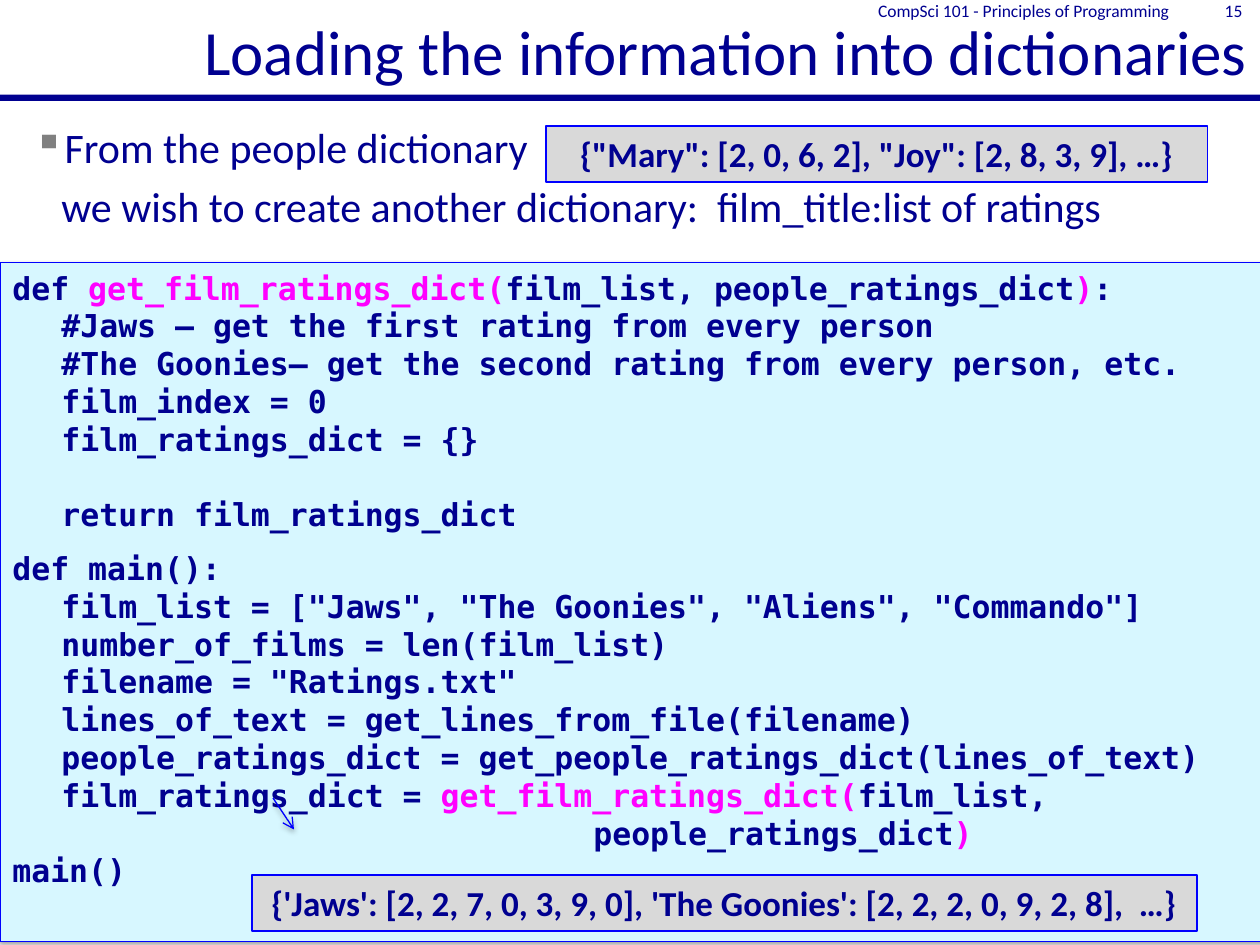
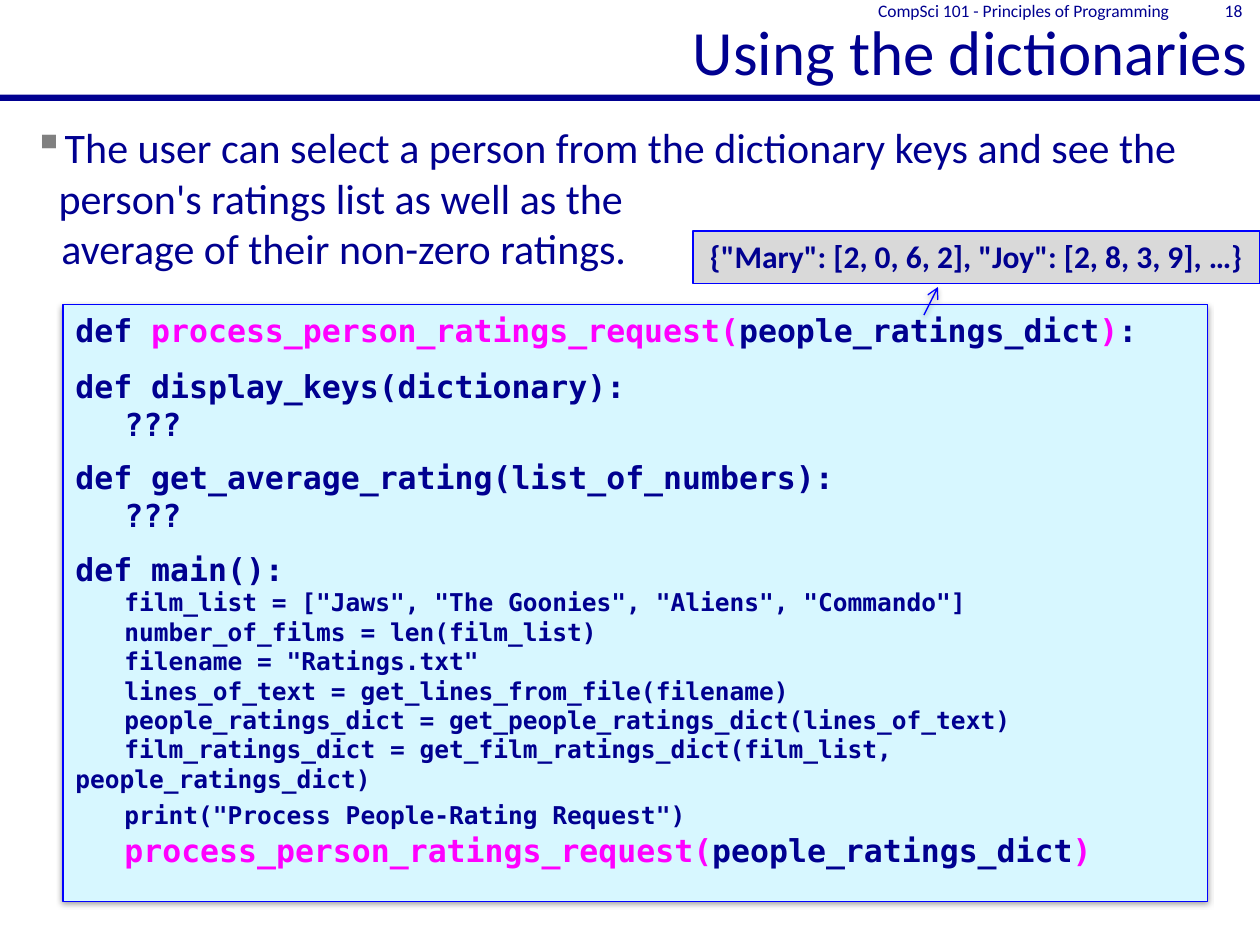
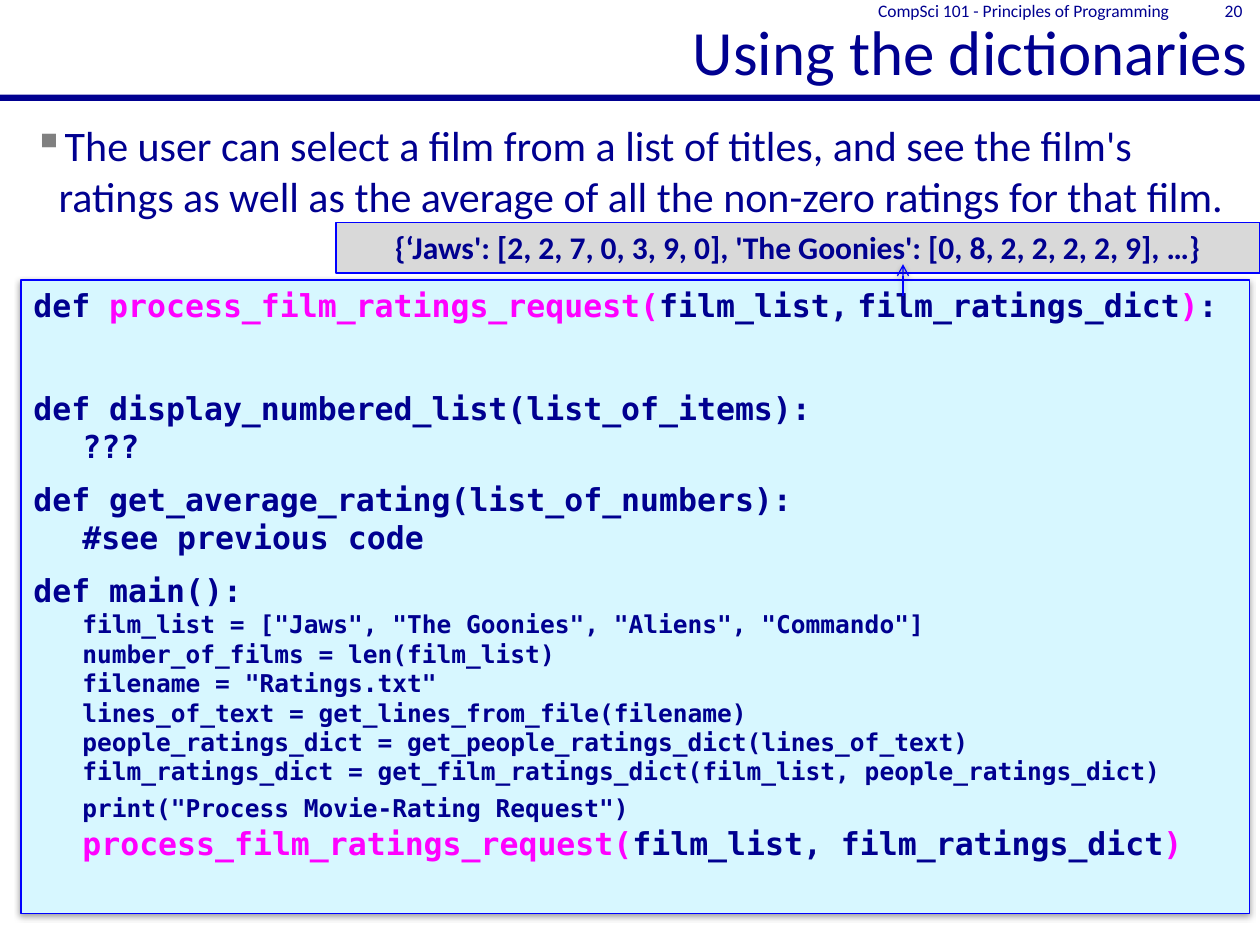
"""Build three lecture slides on dictionaries of film ratings."""
import dataclasses

import lxml.etree
import pptx
import pptx.dml.color
import pptx.enum.shapes
import pptx.enum.text
import pptx.oxml.ns
import pptx.util

Pt = pptx.util.Pt
Align = pptx.enum.text.PP_ALIGN
Anchor = pptx.enum.text.MSO_ANCHOR
qn = pptx.oxml.ns.qn

NAVY, BLUE, MAGENTA = "000090", "0000FF", "FF00FF"
CODE_FILL, EXAMPLE_FILL, BULLET = "D7F7FF", "D9D9D9", "808080"
TEXT_FONT, CODE_FONT = "Calibri", "DejaVu Sans Mono"
COURSE = "CompSci 101 - Principles of Programming"
CODE_INDENT = 28


def color(value):
    return pptx.dml.color.RGBColor.from_string(value)


@dataclasses.dataclass
class Run:
    text: str
    color: str = NAVY
    size: float = 18


@dataclasses.dataclass
class Line:
    runs: list
    indent: float = 0
    wrap_indent: float = 0
    before: float = 0
    after: float = 0


def plain(text, size=18, **spacing):
    return Line([Run(text, size=size)], **spacing)


def inner(text, size=18, **spacing):
    return plain(text, size, indent=CODE_INDENT, **spacing)


def call(name, *arguments, start="", end="", **spacing):
    runs = [Run(start)] if start else []
    runs += [Run(name + "(", MAGENTA), *arguments, Run(")", MAGENTA)]
    if end:
        runs.append(Run(end))
    return Line(runs, **spacing)


def main_setup(size):
    return [plain("def main():", before=9)] + [inner(text, size) for text in (
        'film_list = ["Jaws", "The Goonies", "Aliens", "Commando"]',
        "number_of_films = len(film_list)",
        'filename = "Ratings.txt"',
        "lines_of_text = get_lines_from_file(filename)",
        "people_ratings_dict = get_people_ratings_dict(lines_of_text)",
    )]


def main_request(kind, request):
    return main_setup(14) + [
        inner("film_ratings_dict = get_film_ratings_dict(film_list, people_ratings_dict)", 14),
        inner(f'print("Process {kind}-Rating Request")', 14, before=4, after=1),
        request,
    ]


class Deck:
    def __init__(self):
        self.presentation = pptx.Presentation()
        self.presentation.slide_width = Pt(720)
        self.presentation.slide_height = Pt(540)
        self.layout = self.presentation.slide_layouts[5]
        self.slide = None

    def start_slide(self, title, number):
        self.slide = self.presentation.slides.add_slide(self.layout)
        if len(self.presentation.slides) == 1:
            band = self.rectangle(0, 54, 720, 3.6, NAVY)
            self.layout.shapes._spTree.append(band._element)
        shape = self.slide.shapes.title
        shape.left, shape.top, shape.width, shape.height = 0, 0, Pt(720), Pt(54)
        frame = self.frame(shape, Anchor.BOTTOM)
        self.add_runs(frame.paragraphs[0], [Run(title, size=36)], align=Align.RIGHT)
        self.header(COURSE, 459, 216)
        self.header(str(number), 675, 42)

    def frame(self, shape, anchor=Anchor.TOP):
        frame = shape.text_frame
        frame.word_wrap = True
        frame.auto_size = pptx.enum.text.MSO_AUTO_SIZE.NONE
        frame.vertical_anchor = anchor
        return frame

    def add_runs(self, paragraph, runs, font=TEXT_FONT, bold=False, align=Align.LEFT):
        paragraph.alignment = align
        for item in runs:
            run = paragraph.add_run()
            run.text = item.text
            run.font.name = font
            run.font.size = Pt(item.size)
            run.font.bold = bold
            run.font.color.rgb = color(item.color)

    def indent(self, paragraph, margin, first):
        properties = paragraph._p.get_or_add_pPr()
        properties.set("marL", str(Pt(margin)))
        properties.set("indent", str(Pt(first)))
        return properties

    def textbox(self, left, top, width, height, anchor=Anchor.TOP):
        shape = self.slide.shapes.add_textbox(Pt(left), Pt(top), Pt(width), Pt(height))
        return self.frame(shape, anchor)

    def header(self, text, left, width):
        frame = self.textbox(left, 0, width, 12, Anchor.MIDDLE)
        frame.margin_top = frame.margin_bottom = 0
        self.add_runs(frame.paragraphs[0], [Run(text, size=10)], align=Align.RIGHT)

    def body(self, top, text, continuation="", before=0, width=708):
        frame = self.textbox(12, top, width, 369)
        paragraph = frame.paragraphs[0]
        paragraph.space_before = Pt(4.8)
        self.add_runs(paragraph, [Run(text, size=24)])
        properties = self.indent(paragraph, 14.4, -14.4)
        bullet_color = lxml.etree.SubElement(properties, qn("a:buClr"))
        lxml.etree.SubElement(bullet_color, qn("a:srgbClr"), val=BULLET)
        lxml.etree.SubElement(properties, qn("a:buChar"), char="▪")
        if continuation:
            paragraph = frame.add_paragraph()
            paragraph.space_before = Pt(before)
            self.add_runs(paragraph, [Run(continuation, size=24)])
            self.indent(paragraph, 16, 0)

    def rectangle(self, left, top, width, height, fill, line=None):
        shape = self.slide.shapes.add_shape(
            pptx.enum.shapes.MSO_SHAPE.RECTANGLE, Pt(left), Pt(top), Pt(width), Pt(height))
        shape.shadow.inherit = False
        shape.fill.solid()
        shape.fill.fore_color.rgb = color(fill)
        if line:
            shape.line.color.rgb = color(line)
            shape.line.width = Pt(0.75)
        else:
            shape.line.fill.background()
        return shape

    def shadow(self, shape):
        properties = shape._element.spPr
        effects = properties.find(qn("a:effectLst"))
        if effects is None:
            effects = lxml.etree.SubElement(properties, qn("a:effectLst"))
        outer = lxml.etree.SubElement(
            effects, qn("a:outerShdw"), blurRad=str(Pt(3.1)), dist=str(Pt(1.6)),
            dir="5400000", rotWithShape="0")
        black = lxml.etree.SubElement(outer, qn("a:srgbClr"), val="000000")
        lxml.etree.SubElement(black, qn("a:alpha"), val="38000")

    def code(self, left, top, width, height, lines):
        shape = self.rectangle(left, top, width, height, CODE_FILL, BLUE)
        self.shadow(shape)
        frame = self.frame(shape)
        for index, line in enumerate(lines):
            paragraph = frame.add_paragraph() if index else frame.paragraphs[0]
            paragraph.space_before = Pt(line.before)
            paragraph.space_after = Pt(line.after)
            self.add_runs(paragraph, line.runs, CODE_FONT, bold=True)
            self.indent(paragraph, line.wrap_indent, line.indent - line.wrap_indent)

    def example(self, left, top, width, height, text, size=18):
        shape = self.rectangle(left, top, width, height, EXAMPLE_FILL, BLUE)
        frame = self.frame(shape)
        self.add_runs(frame.paragraphs[0], [Run(text, size=size)], bold=True, align=Align.CENTER)

    def arrow(self, start_x, start_y, end_x, end_y):
        connector = self.slide.shapes.add_connector(
            pptx.enum.shapes.MSO_CONNECTOR.STRAIGHT,
            Pt(start_x), Pt(start_y), Pt(end_x), Pt(end_y))
        connector.line.color.rgb = color(BLUE)
        connector.line.width = Pt(0.75)
        lxml.etree.SubElement(connector.line._get_or_add_ln(), qn("a:tailEnd"), type="arrow")
        self.shadow(connector)


def loading_slide(deck):
    deck.start_slide("Loading the information into dictionaries", 15)
    deck.body(66, "From the people dictionary",
              "we wish to create another dictionary:  film_title:list of ratings", 4.8, 690)
    deck.code(0, 150, 726, 388, [
        call("get_film_ratings_dict", Run("film_list, people_ratings_dict"),
             start="def ", end=":"),
        inner("#Jaws – get the first rating from every person"),
        inner("#The Goonies– get the second rating from every person, etc."),
        inner("film_index = 0"),
        inner("film_ratings_dict = {}"),
        inner("return film_ratings_dict", before=21.6),
        *main_setup(18),
        call("get_film_ratings_dict", Run("film_list, people_ratings_dict"),
             start="film_ratings_dict = ", indent=CODE_INDENT, wrap_indent=332),
        plain("main()"),
    ])
    deck.example(144, 500, 540, 32,
                 "{'Jaws': [2, 2, 7, 0, 3, 9, 0], 'The Goonies': [2, 2, 2, 0, 9, 2, 8],  …}", 20)
    deck.arrow(156, 456, 168, 474)
    deck.example(312, 72, 378, 32, '{"Mary": [2, 0, 6, 2], "Joy": [2, 8, 3, 9], …}', 20)


def person_slide(deck):
    deck.start_slide("Using the dictionaries", 18)
    deck.body(66, "The user can select a person from the dictionary keys and see the "
              "person's ratings list as well as the", "average of their non-zero ratings.")
    request = "process_person_ratings_request"
    people = Run("people_ratings_dict")
    deck.code(36, 174, 654, 341, [
        call(request, people, start="def ", end=":"),
        plain("def display_keys(dictionary):", before=10.5),
        inner("???"),
        plain("def get_average_rating(list_of_numbers):", before=9),
        inner("???"),
        *main_request("People", call(request, people, indent=CODE_INDENT)),
    ])
    deck.example(396, 132, 324, 30, '{"Mary": [2, 0, 6, 2], "Joy": [2, 8, 3, 9], …}')
    deck.arrow(528, 180, 536, 164)


def film_slide(deck):
    deck.start_slide("Using the dictionaries", 20)
    deck.body(65, "The user can select a film from a list of titles, and see the film's "
              "ratings as well as the average of all the non-zero ratings for that film.")
    request = "process_film_ratings_request"
    deck.code(12, 160, 702, 362, [
        call(request, Run("film_list,"), Run(" ", size=8), Run("film_ratings_dict"),
             start="def ", end=":"),
        plain("def display_numbered_list(list_of_items):", before=37),
        inner("???"),
        plain("def get_average_rating(list_of_numbers):", before=9),
        inner("#see previous code"),
        *main_request("Movie", call(request, Run("film_list, film_ratings_dict"),
                                    indent=CODE_INDENT)),
    ])
    deck.example(192, 127, 528, 29,
                 "{‘Jaws': [2, 2, 7, 0, 3, 9, 0], 'The Goonies': [0, 8, 2, 2, 2, 2, 9], …}")
    deck.arrow(516, 169, 516, 151)


def main():
    deck = Deck()
    loading_slide(deck)
    person_slide(deck)
    film_slide(deck)
    deck.presentation.save("out.pptx")


if __name__ == "__main__":
    main()
